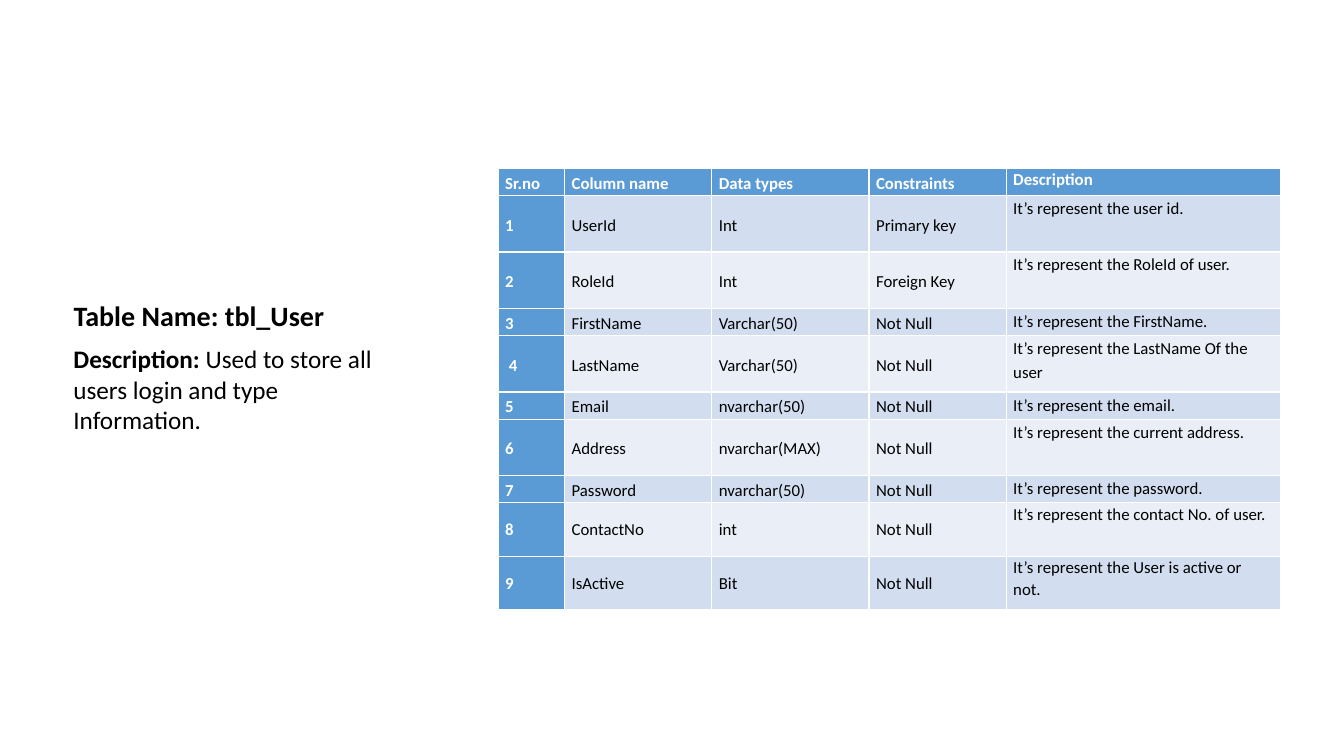
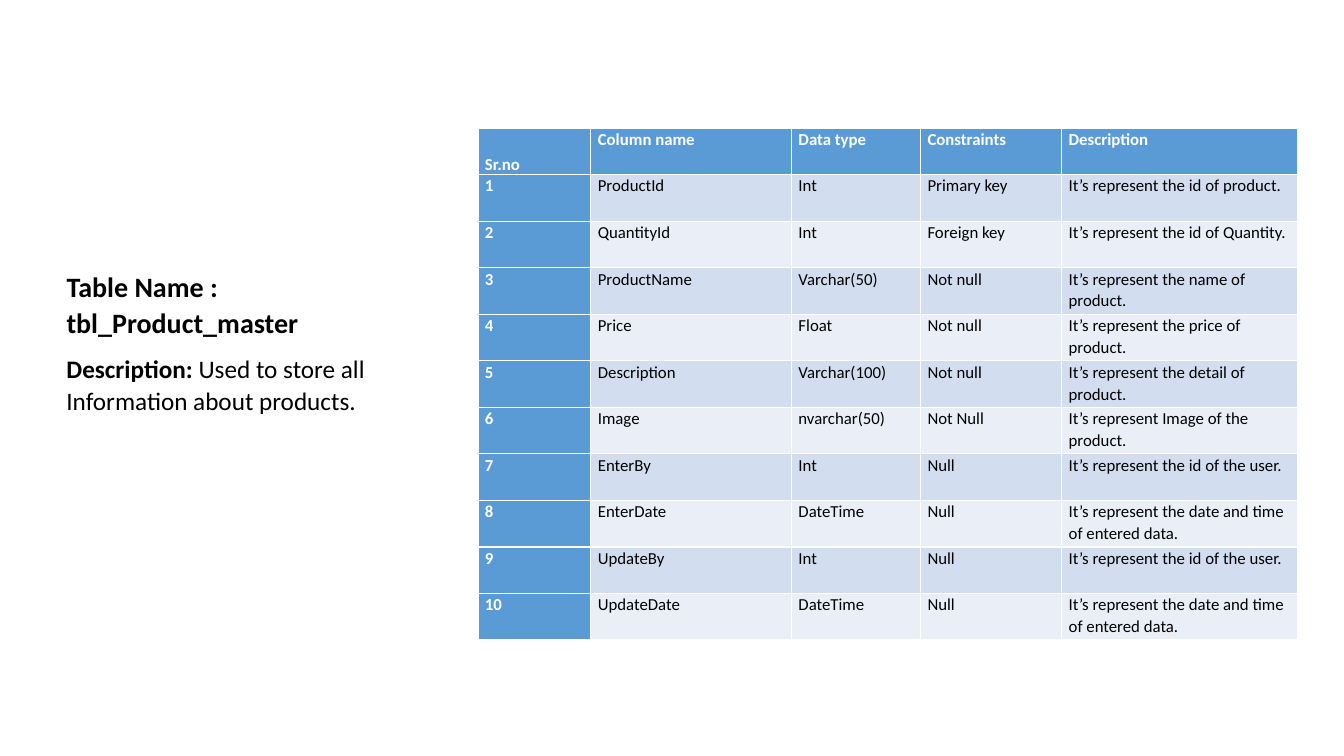
from pptx import Presentation
from pptx.dml.color import RGBColor
from pptx.enum.text import MSO_ANCHOR, MSO_AUTO_SIZE, PP_ALIGN
from pptx.util import Inches, Pt

FONT = "Calibri"
HEX = {"head": "5B9BD5", "odd": "D2DEEF", "even": "EAEFF7", "light": "FFFFFF", "dark": "000000"}
LINE, GAP, PAD = 0.36, 0.11, 0.05
TALL, MID, LOW = 0.56, 0.53, 0.27

USER = {
    "title": "Table Name: tbl_User",
    "about": "Used to store all users login and type Information.",
    "text": (0.63, 2.89, 3.47), "lines": 1, "lead": 1.0,
    "grid": (4.94, 1.67),
    "cols": [0.66, 1.46, 1.56, 1.36, 2.72],
    "rows": [LOW, TALL, TALL, LOW, TALL, LOW, TALL, LOW, MID, MID],
    "anchor": [MSO_ANCHOR.MIDDLE] * 4 + [MSO_ANCHOR.TOP],
    "first": MSO_ANCHOR.MIDDLE,
    "wide": 8,
    "cells": [
        ("Sr.no", "Column name", "Data types", "Constraints", "Description"),
        ("1", "UserId", "Int", "Primary key", "It’s represent the user id."),
        ("2", "RoleId", "Int", "Foreign Key", "It’s represent the RoleId of user."),
        ("3", "FirstName", "Varchar(50)", "Not Null", "It’s represent the FirstName."),
        (" 4", "LastName", "Varchar(50)", "Not Null", "It’s represent the LastName Of the user"),
        ("5", "Email", "nvarchar(50)", "Not Null", "It’s represent the email."),
        ("6", "Address", "nvarchar(MAX)", "Not Null", "It’s represent the current address."),
        ("7", "Password", "nvarchar(50)", "Not Null", "It’s represent the password."),
        ("8", "ContactNo", "int", "Not Null", "It’s represent the contact No. of user."),
        ("9", "IsActive", "Bit", "Not Null", "It’s represent the User is active or not."),
    ],
}
PRODUCT = {
    "title": "Table Name : tbl_Product_master",
    "about": "Used to store all Information about products.",
    "text": (0.56, 2.6, 3.75), "lines": 2, "lead": 1.07,
    "grid": (4.74, 1.27),
    "cols": [1.12, 1.99, 1.28, 1.4, 2.34],
    "rows": [5.08 / 11] * 11,
    "anchor": [MSO_ANCHOR.TOP] * 5,
    "first": MSO_ANCHOR.BOTTOM,
    "wide": 0,
    "cells": [
        ("Sr.no", "Column name", "Data type", "Constraints", "Description"),
        ("1", "ProductId", "Int", "Primary key", "It’s represent the id of product."),
        ("2", "QuantityId", "Int", "Foreign key", "It’s represent the id of Quantity."),
        ("3", "ProductName", "Varchar(50)", "Not null", "It’s represent the name of product."),
        ("4", "Price", "Float", "Not null", "It’s represent the price of product."),
        ("5", "Description", "Varchar(100)", "Not null", "It’s represent the detail of product."),
        ("6", "Image", "nvarchar(50)", "Not Null", "It’s represent Image of the product."),
        ("7", "EnterBy", "Int", "Null", "It’s represent the id of the user."),
        ("8", "EnterDate", "DateTime", "Null", "It’s represent the date and time of entered data."),
        ("9", "UpdateBy", "Int", "Null", "It’s represent the id of the user."),
        ("10", "UpdateDate", "DateTime", "Null", "It’s represent the date and time of entered data."),
    ],
}


def color(key):
    return RGBColor.from_string(HEX[key])


def style(para, size, lead, bold=None, ink="dark"):
    para.alignment = PP_ALIGN.LEFT
    para.line_spacing = lead
    font = para.font
    font.name, font.size, font.bold = FONT, Pt(size), bold
    font.color.rgb = color(ink)


def setup(frame):
    frame.word_wrap = True
    frame.auto_size = MSO_AUTO_SIZE.NONE
    frame.vertical_anchor = MSO_ANCHOR.TOP
    frame.margin_left = frame.margin_right = Inches(0.1)
    frame.margin_top = frame.margin_bottom = 0


def add_text(slide, data):
    left, top, width = data["text"]
    high = LINE * data["lines"]
    title = slide.shapes.title
    title.left, title.top = Inches(left), Inches(top + PAD)
    title.width, title.height = Inches(width), Inches(high)
    title.text = data["title"]
    setup(title.text_frame)
    style(title.text_frame.paragraphs[0], 20, 1.07, True)

    box = slide.shapes.add_textbox(
        Inches(left), Inches(top + PAD + high + GAP), Inches(width), Inches(0.92))
    setup(box.text_frame)
    para = box.text_frame.paragraphs[0]
    style(para, 18, data["lead"])
    label = para.add_run()
    label.text = "Description:"
    label.font.bold = True
    para.add_run().text = " " + data["about"]


def add_grid(slide, data):
    cols, rows = data["cols"], data["rows"]
    left, top = data["grid"]
    table = slide.shapes.add_table(
        len(rows), len(cols), Inches(left), Inches(top),
        Inches(sum(cols)), Inches(sum(rows))).table
    table.first_col = True
    for col, width in zip(table.columns, cols):
        col.width = Inches(width)
    for row, high in zip(table.rows, rows):
        row.height = Inches(high)
    for r, line in enumerate(data["cells"]):
        for c, text in enumerate(line):
            head = r == 0 or c == 0
            cell = table.cell(r, c)
            cell.text = text
            cell.margin_left = cell.margin_right = Inches(0.07)
            cell.margin_top = cell.margin_bottom = 0
            cell.vertical_anchor = data["first"] if r == c == 0 else data["anchor"][c]
            cell.fill.solid()
            cell.fill.fore_color.rgb = color("head" if head else "odd" if r % 2 else "even")
            slim = r >= data["wide"] or (r == 0 and c == 4)
            style(cell.text_frame.paragraphs[0], 12, 1.07 if slim else 1.15,
                  head, "light" if head else "dark")


def main():
    deck = Presentation()
    deck.slide_width, deck.slide_height = Inches(13.33), Inches(7.5)
    for data in (USER, PRODUCT):
        slide = deck.slides.add_slide(deck.slide_layouts[5])
        add_text(slide, data)
        add_grid(slide, data)
    deck.save("out.pptx")


if __name__ == "__main__":
    main()
